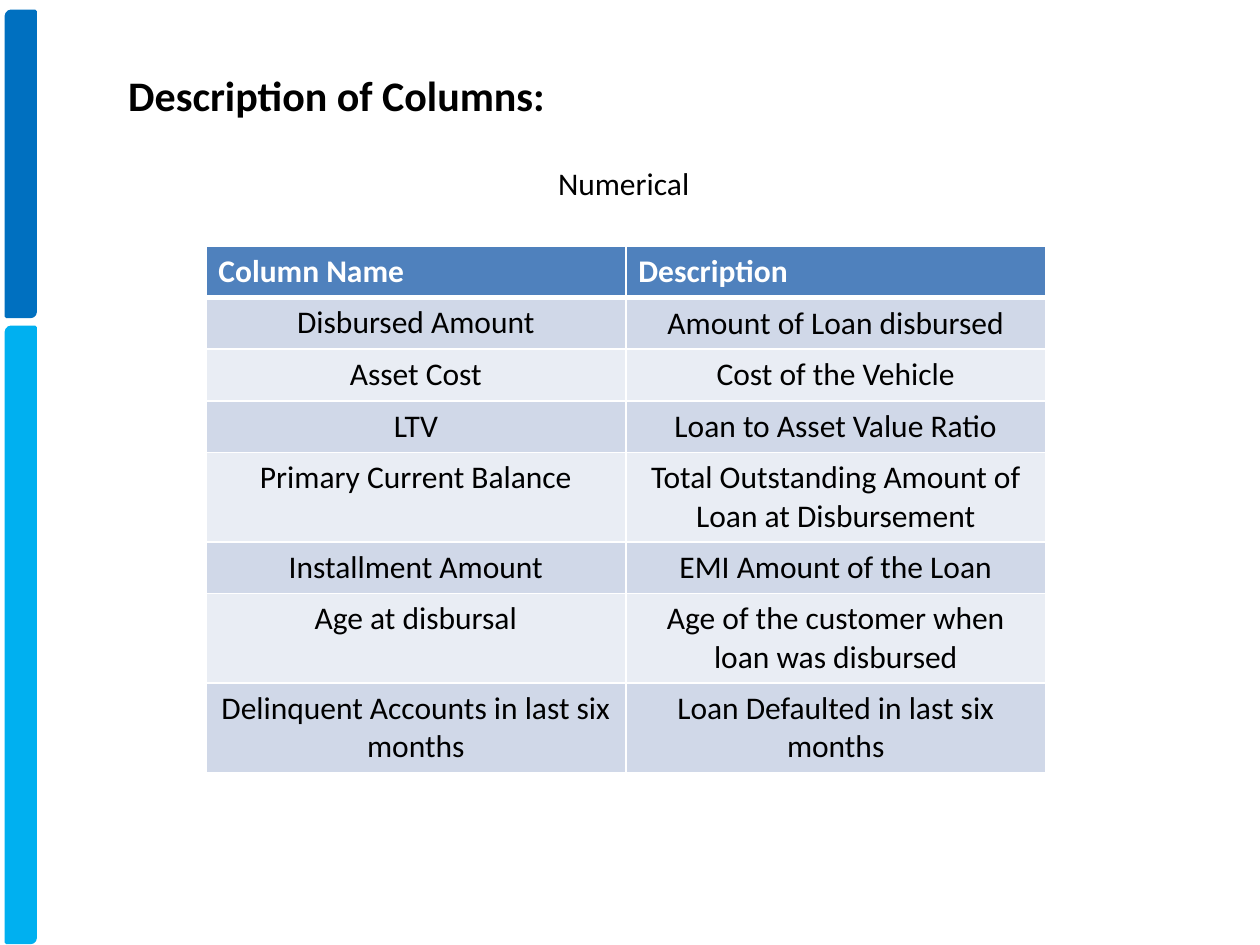
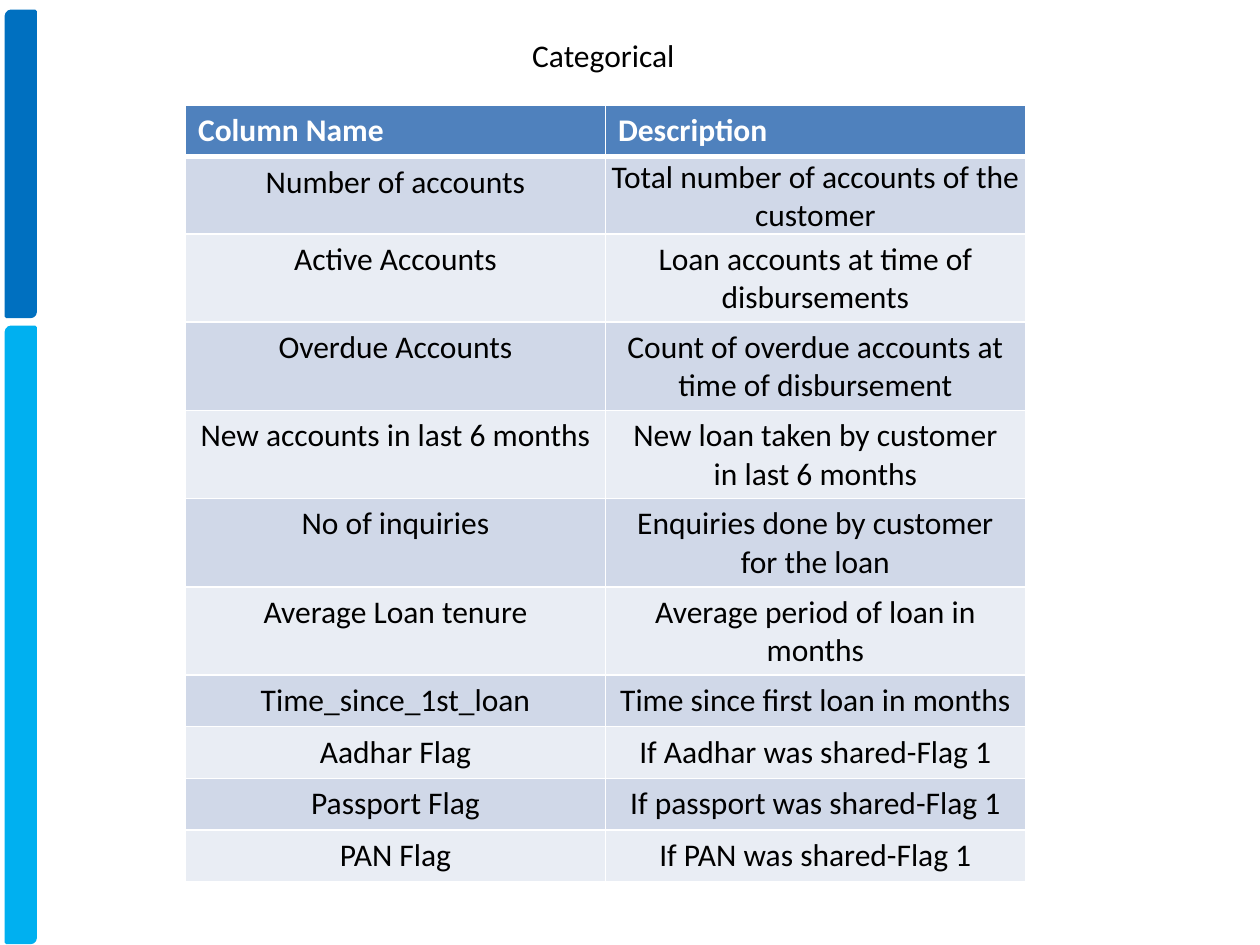
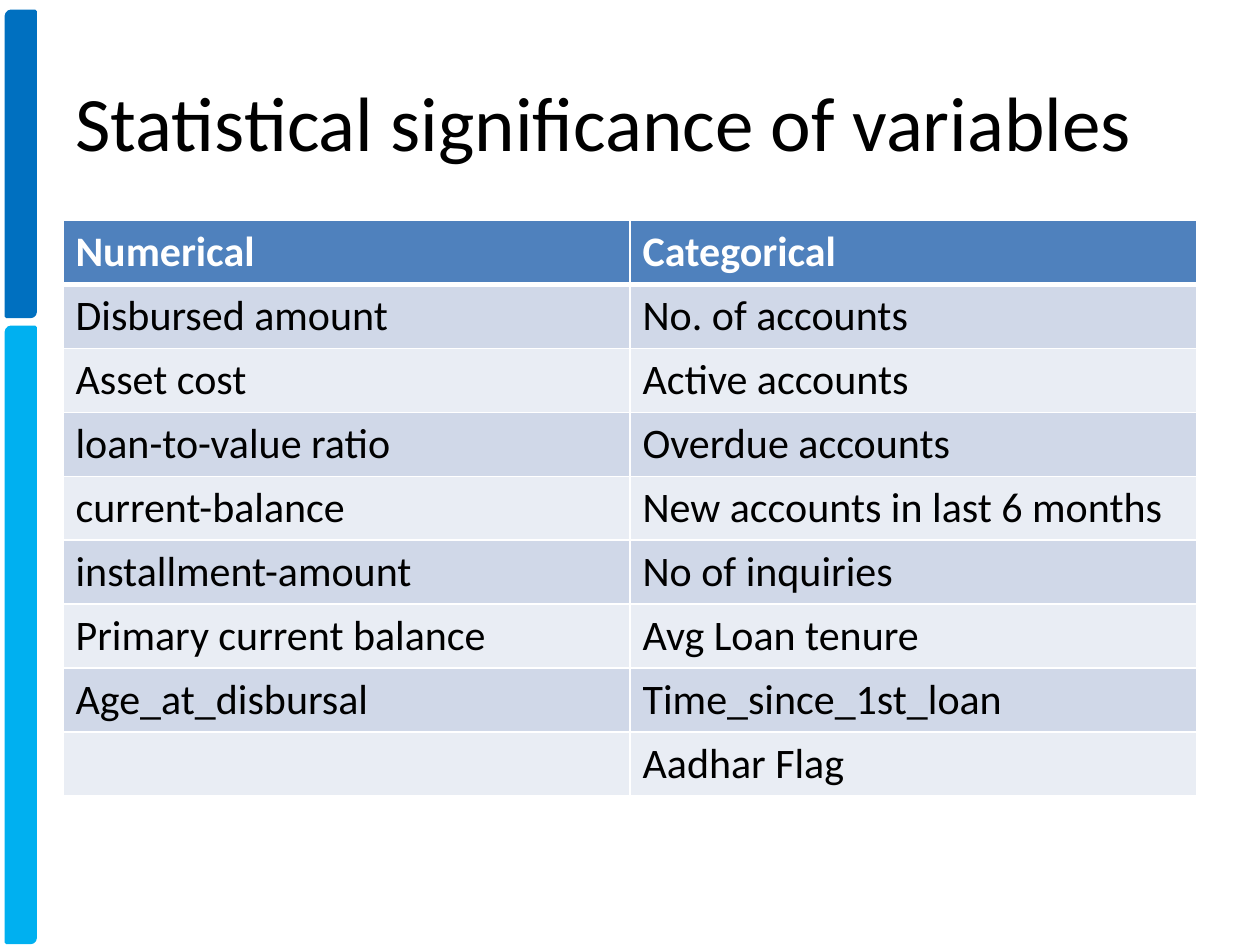
from dataclasses import dataclass

from lxml.etree import SubElement
from pptx import Presentation
from pptx.dml.color import RGBColor
from pptx.enum.shapes import MSO_SHAPE
from pptx.enum.text import MSO_ANCHOR, MSO_AUTO_SIZE, PP_ALIGN
from pptx.oxml.ns import qn
from pptx.util import Cm, Pt


@dataclass(frozen=True)
class Theme:
    font: str = "Calibri"
    text: str = "000000"
    light: str = "FFFFFF"
    header: str = "4F81BD"
    bands: tuple = ("D0D8E8", "E9EDF4")
    bar_top: str = "0070C0"
    bar_bottom: str = "00B0F0"
    title: int = 44
    heading: int = 24
    body: int = 18
    thin: int = 1
    thick: int = 3


THEME = Theme()
TITLE_ONLY, BLANK = 5, 6
ROW_HEIGHT = Cm(1.04)

NUMERICAL = [
    ("Column Name", "Description"),
    ("Disbursed Amount", "Amount of Loan disbursed"),
    ("Asset Cost", "Cost of the Vehicle"),
    ("LTV", "Loan to Asset Value Ratio"),
    ("Primary Current Balance", "Total Outstanding Amount of Loan at Disbursement"),
    ("Installment Amount", "EMI Amount of the Loan"),
    ("Age at disbursal", "Age of the customer when loan was disbursed"),
    ("Delinquent Accounts in last six months", "Loan Defaulted in last six months"),
]
CATEGORICAL = [
    ("Column Name", "Description"),
    ("Number of accounts", "Total number of accounts of the customer"),
    ("Active Accounts", "Loan accounts at time of disbursements"),
    ("Overdue Accounts", "Count of overdue accounts at time of disbursement"),
    ("New accounts in last 6 months", "New loan taken by customer in last 6 months"),
    ("No of inquiries", "Enquiries done by customer for the loan"),
    ("Average Loan tenure", "Average period of loan in months"),
    ("Time_since_1st_loan", "Time since first loan in months"),
    ("Aadhar Flag", "If Aadhar was shared-Flag 1"),
    ("Passport Flag", "If passport was shared-Flag 1"),
    ("PAN Flag", "If PAN was shared-Flag 1"),
]
SIGNIFICANCE = [
    ("Numerical", "Categorical"),
    ("Disbursed amount", "No. of accounts"),
    ("Asset cost", "Active accounts"),
    ("loan-to-value ratio", "Overdue accounts"),
    ("current-balance", "New accounts in last 6 months"),
    ("installment-amount", "No of inquiries"),
    ("Primary current balance", "Avg Loan tenure"),
    ("Age_at_disbursal", "Time_since_1st_loan"),
    ("", "Aadhar Flag"),
]


def box(*lengths):
    return [Cm(length) for length in lengths]


def rgb(color):
    return RGBColor.from_string(color)


def write(tf, text, size, color=THEME.text, bold=False, align=PP_ALIGN.LEFT):
    tf.text = text
    p = tf.paragraphs[0]
    p.alignment = align
    for r in p.runs:
        r.font.name = THEME.font
        r.font.size = Pt(size)
        r.font.bold = bold
        r.font.color.rgb = rgb(color)


def add_master_bars(prs, s):
    """Draw the side bars on a slide and move them to the back of the master."""
    tree = prs.slide_master.shapes.element
    bars = [(THEME.bar_top, 0.23, 6.15), (THEME.bar_bottom, 6.6, 12.4)]
    for i, (color, top, height) in enumerate(bars):
        sp = s.shapes.add_shape(MSO_SHAPE.ROUND_2_DIAG_RECTANGLE,
                                *box(0.13, top, 0.58, height))
        sp.shadow.inherit = False
        sp.fill.solid()
        sp.fill.fore_color.rgb = rgb(color)
        sp.line.color.rgb = rgb(color)
        sp.line.width = Pt(2)
        sp.name = f"Side bar {i + 1}"
        sp.element.nvSpPr.cNvPr.set("id", str(20 + i))
        tree.insert(2 + i, sp.element)


def add_title(s, text, area, size, bold=False, wrap=True):
    sp = s.shapes.title
    sp.left, sp.top, sp.width, sp.height = area
    tf = sp.text_frame
    tf.word_wrap = wrap
    tf.vertical_anchor = MSO_ANCHOR.MIDDLE
    write(tf, text, size, bold=bold)


def add_caption(s, text, area):
    tf = s.shapes.add_textbox(*area).text_frame
    tf.word_wrap = False
    tf.auto_size = MSO_AUTO_SIZE.SHAPE_TO_FIT_TEXT
    write(tf, text, THEME.body)


def set_borders(cell, top, bottom):
    tcPr = cell._tc.get_or_add_tcPr()
    widths = {"lnL": THEME.thin, "lnR": THEME.thin, "lnT": top, "lnB": bottom}
    for tag, width in widths.items():
        ln = SubElement(tcPr, qn(f"a:{tag}"), w=str(Pt(width)))
        fill = SubElement(ln, qn("a:solidFill"))
        SubElement(fill, qn("a:srgbClr"), val=THEME.light)


def add_banded_table(s, rows, area, size, align):
    frame = s.shapes.add_table(len(rows), len(rows[0]), *area)
    table = frame.table
    for i, values in enumerate(rows):
        table.rows[i].height = ROW_HEIGHT
        header = i == 0
        for cell, value in zip(table.rows[i].cells, values):
            set_borders(cell, THEME.thick if i == 1 else THEME.thin,
                        THEME.thick if header else THEME.thin)
            cell.fill.solid()
            cell.fill.fore_color.rgb = rgb(THEME.header if header else THEME.bands[(i - 1) % 2])
            write(cell.text_frame, value, size,
                  THEME.light if header else THEME.text, header,
                  PP_ALIGN.LEFT if header else align)
    frame.height = area[3]
    return table


def add_description_table(s, rows, area):
    """Centred table whose first description sits tight in its cell."""
    table = add_banded_table(s, rows, area, THEME.body, PP_ALIGN.CENTER)
    cell = table.cell(1, 1)
    cell.vertical_anchor = MSO_ANCHOR.MIDDLE
    cell.margin_left = cell.margin_right = cell.margin_top = Cm(0.03)
    cell.margin_bottom = 0


def build_numerical(s):
    add_description_table(s, NUMERICAL, box(4.15, 4.96, 16.93, 10.5))
    add_caption(s, "Numerical", box(11, 3.18, 3.2, 1.03))
    add_title(s, "Description of Columns:", box(2.33, 1.27, 9, 1.28),
              THEME.heading, bold=True, wrap=False)


def build_categorical(s):
    add_caption(s, "Categorical", box(10.48, 0.6, 3.4, 1.03))
    add_description_table(s, CATEGORICAL, box(3.74, 2.12, 16.93, 15.6))


def build_significance(s):
    add_title(s, "Statistical significance of variables",
              box(1.27, 0.85, 22.86, 3.18), THEME.title)
    add_banded_table(s, SIGNIFICANCE, box(1.27, 4.45, 22.86, 11.43),
                     THEME.heading, PP_ALIGN.LEFT)


def main():
    prs = Presentation()
    prs.slide_width, prs.slide_height = box(25.4, 19.05)
    pages = [(TITLE_ONLY, build_numerical), (BLANK, build_categorical),
             (TITLE_ONLY, build_significance)]
    for layout, build in pages:
        build(prs.slides.add_slide(prs.slide_layouts[layout]))
    add_master_bars(prs, prs.slides[0])
    prs.save("out.pptx")


if __name__ == "__main__":
    main()
